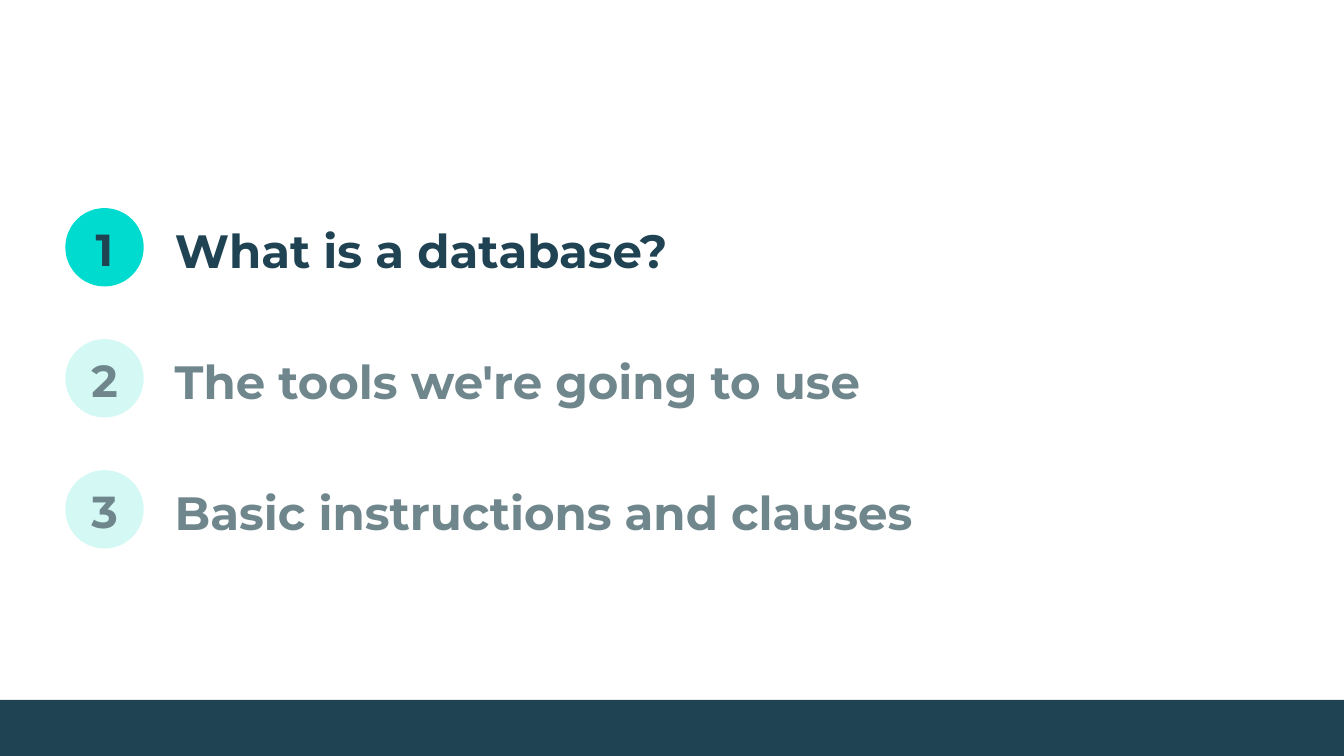
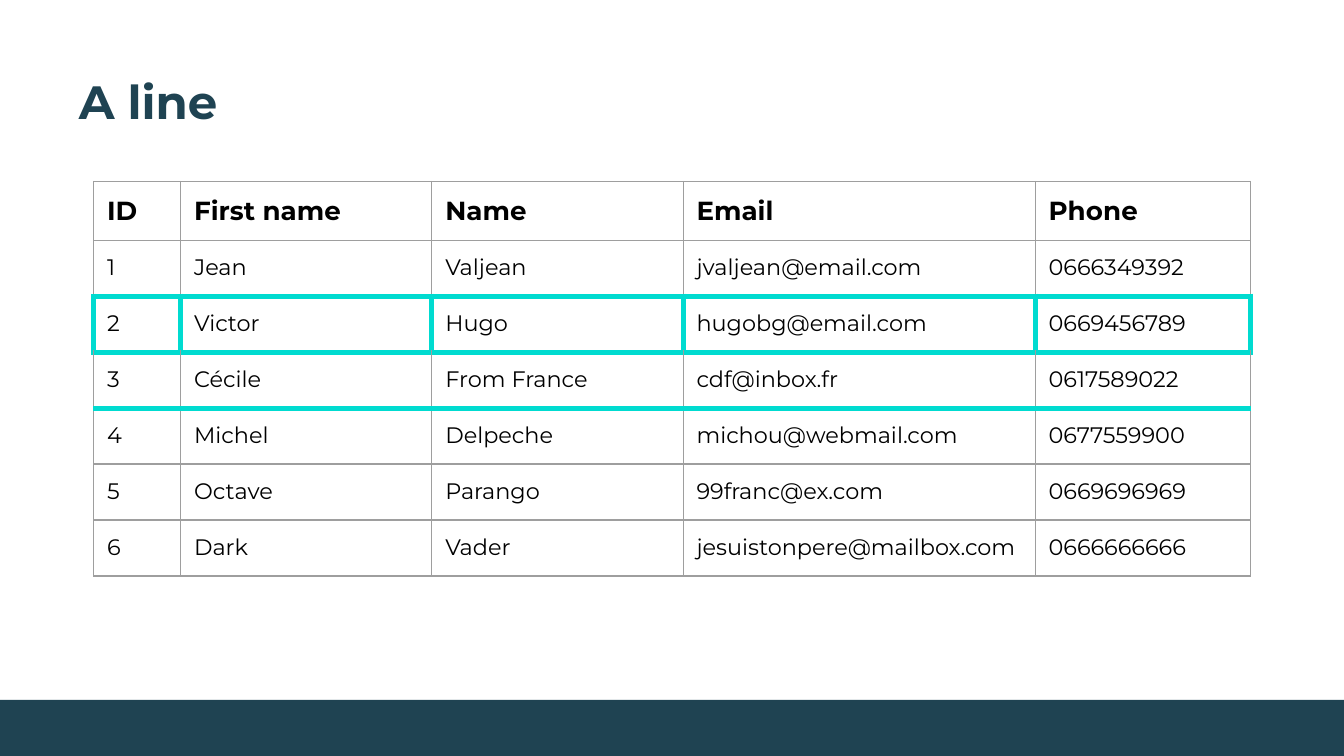
from lxml import etree
from pptx import Presentation
from pptx.dml.color import RGBColor
from pptx.enum import shapes, text
from pptx.oxml import ns
from pptx.util import Pt

COLORS = {"navy": "1F4352", "teal": "00DBD0", "pale teal": "D4F9F4",
          "muted": "6F878C", "grid": "9E9E9E", "black": "000000"}
INSET = Pt(7.2)
TITLE_SIZE = 25
TITLE_HEIGHT = 42


def write(frame, words, size, color, bold=True, align=text.PP_ALIGN.LEFT):
    """Fill a text frame with one paragraph in the shared font and insets."""
    frame.text = words
    frame_format = {"word_wrap": True, "auto_size": text.MSO_AUTO_SIZE.NONE,
                    "vertical_anchor": text.MSO_ANCHOR.TOP,
                    "margin_left": INSET, "margin_right": INSET,
                    "margin_top": INSET, "margin_bottom": INSET}
    for name, value in frame_format.items():
        setattr(frame, name, value)
    paragraph = frame.paragraphs[0]
    paragraph.alignment = align
    paragraph.line_spacing = 1.0
    paragraph.space_before = Pt(0)
    font = paragraph.runs[0].font
    for name, value in {"name": "Montserrat", "size": Pt(size), "bold": bold}.items():
        setattr(font, name, value)
    font.color.rgb = RGBColor.from_string(COLORS[color])


def add_filled(slide, kind, left, top, width, height, color):
    shape = slide.shapes.add_shape(kind, Pt(left), Pt(top), Pt(width), Pt(height))
    shape.shadow.inherit = False
    shape.fill.solid()
    shape.fill.fore_color.rgb = RGBColor.from_string(COLORS[color])
    shape.line.fill.background()


presentation = Presentation()
presentation.slide_width, presentation.slide_height = Pt(720), Pt(405)
title_only = presentation.slide_layouts[5]
agenda_slide, line_slide = [presentation.slides.add_slide(title_only) for _ in range(2)]

# Agenda: the current chapter is highlighted and serves as the slide title
chapters = [("What is a database?", 512), ("The tools we're going to use", 505.5),
            ("Basic instructions and clauses", 583)]
for index, (chapter, width) in enumerate(chapters):
    top = 111.5 + 70.2 * index
    current = index == 0
    circle_color, text_color = ("teal", "navy") if current else ("pale teal", "muted")
    add_filled(agenda_slide, shapes.MSO_SHAPE.OVAL, 35, top, 42, 42, circle_color)
    if current:
        label = agenda_slide.shapes.title
        label.left, label.top = Pt(86.5), Pt(top)
        label.width, label.height = Pt(width), Pt(TITLE_HEIGHT)
    else:
        label = agenda_slide.shapes.add_textbox(
            Pt(86.5), Pt(top), Pt(width), Pt(TITLE_HEIGHT))
    write(label.text_frame, chapter, TITLE_SIZE, text_color)
    number = agenda_slide.shapes.add_textbox(Pt(33.3), Pt(top), Pt(45.4), Pt(29.5))
    write(number.text_frame, str(index + 1), 24, text_color, align=text.PP_ALIGN.CENTER)

# A line: one record of the table is outlined
title = line_slide.shapes.title
title.left, title.top, title.width, title.height = Pt(35), Pt(31.7), Pt(531), Pt(TITLE_HEIGHT)
write(title.text_frame, "A line", TITLE_SIZE, "navy")

records = [
    ("ID", "First name", "Name", "Email", "Phone"),
    ("1", "Jean", "Valjean", "jvaljean@email.com", "0666349392"),
    ("2", "Victor", "Hugo", "hugobg@email.com", "0669456789"),
    ("3", "Cécile", "From France", "cdf@inbox.fr", "0617589022"),
    ("4", "Michel", "Delpeche", "michou@webmail.com", "0677559900"),
    ("5", "Octave", "Parango", "99franc@ex.com", "0669696969"),
    ("6", "Dark", "Vader", "jesuistonpere@mailbox.com", "0666666666"),
]
column_widths = [46.6, 134.6, 134.6, 188.6, 115.2]
row_height = 30
highlighted_row = 2
# Edges are numbered from the top of the table; these three are thick
thick_edges = {highlighted_row, highlighted_row + 1, highlighted_row + 2}

table = line_slide.shapes.add_table(
    len(records), len(column_widths), Pt(50.2), Pt(97.2),
    Pt(sum(column_widths)), Pt(row_height * len(records))).table
table.first_row = table.horz_banding = False
for column, width in zip(table.columns, column_widths):
    column.width = Pt(width)
for row_index, record in enumerate(records):
    table.rows[row_index].height = Pt(row_height)
    header = row_index == 0
    thick_sides = {"lnL": row_index == highlighted_row,
                   "lnR": row_index == highlighted_row,
                   "lnT": row_index in thick_edges,
                   "lnB": row_index + 1 in thick_edges}
    for column_index, value in enumerate(record):
        cell = table.cell(row_index, column_index)
        write(cell.text_frame, value, 14 if header else 12, "black", bold=header)
        for side in ("left", "right", "top", "bottom"):
            setattr(cell, f"margin_{side}", INSET)
        properties = cell._tc.get_or_add_tcPr()
        for side, thick in thick_sides.items():
            border = etree.SubElement(properties, ns.qn(f"a:{side}"),
                                      w=str(Pt(3 if thick else 0.75)))
            fill = etree.SubElement(border, ns.qn("a:solidFill"))
            etree.SubElement(fill, ns.qn("a:srgbClr"),
                             val=COLORS["teal" if thick else "grid"])
        cell.fill.background()

for slide in presentation.slides:
    add_filled(slide, shapes.MSO_SHAPE.RECTANGLE, 0, 375, 720, 30, "navy")

presentation.save("out.pptx")
